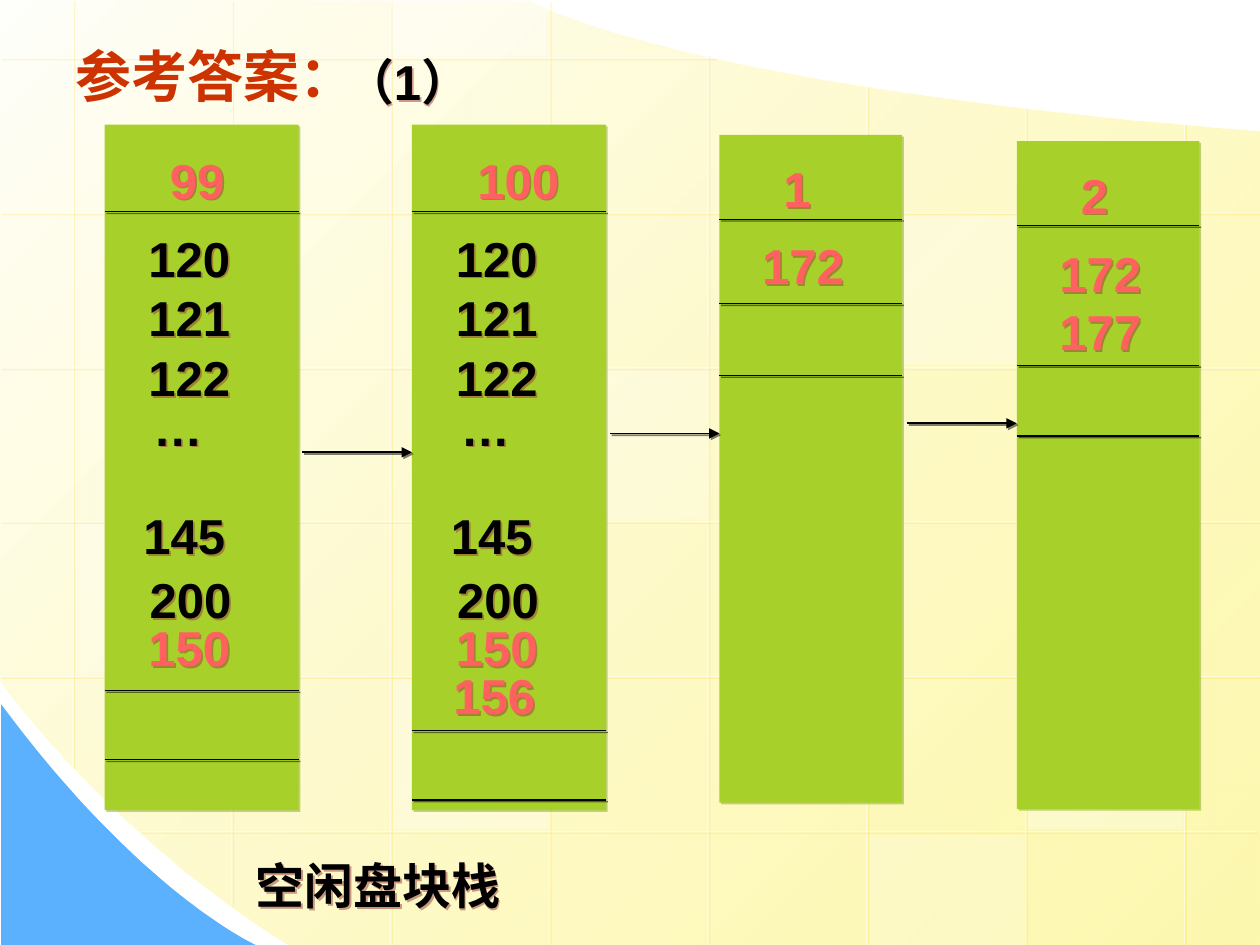
from dataclasses import dataclass

from lxml.etree import SubElement
from pptx import Presentation
from pptx.dml.color import RGBColor
from pptx.enum.shapes import MSO_CONNECTOR, MSO_SHAPE
from pptx.enum.text import MSO_ANCHOR
from pptx.oxml.ns import qn
from pptx.util import Pt

PX = 9144  # EMU per px, 100 px to the inch

WHITE = RGBColor(0xFF, 0xFF, 0xFF)
BLACK = RGBColor(0x00, 0x00, 0x00)
CREAM = RGBColor(0xFF, 0xFF, 0xFB)
YELLOW = RGBColor(0xFD, 0xF5, 0x8D)
GOLD = RGBColor(0xFF, 0xCC, 0x00)
BLUE = RGBColor(0x5C, 0xB1, 0xFE)
GREEN = RGBColor(0xA8, 0xD0, 0x2A)
OLIVE = RGBColor(0x87, 0xA7, 0x22)
RED = RGBColor(0xCC, 0x33, 0x00)
CORAL = RGBColor(0xFF, 0x61, 0x61)
BROWN = RGBColor(0x99, 0x3A, 0x3A)

Point = tuple[int, int]


@dataclass
class Cell:
    text: str
    x: int
    y: int
    color: RGBColor = BLACK


@dataclass
class Stack:
    left: int
    top: int
    width: int
    height: int
    rules: tuple[int, ...]
    cells: tuple[Cell, ...]


def fade(shape, share: int) -> None:
    """Set the opacity of the last colour of a shape, in percent."""
    color = list(shape._element.spPr.iter(qn("a:srgbClr")))[-1]
    SubElement(color, qn("a:alpha"), val=str(share * 1000))


def shade(shape, color: RGBColor | None = None, share: int = 50) -> None:
    """Give a shape a small shadow, or none without a colour."""
    effect = SubElement(shape._element.spPr, qn("a:effectLst"))
    if color is not None:
        outer = SubElement(effect, qn("a:outerShdw"), dist="17961",
                           dir="2700000", algn="ctr", rotWithShape="0")
        SubElement(outer, qn("a:srgbClr"), val=str(color))
        fade(shape, share)


def box(slide, x: int, y: int, w: int, h: int, color: RGBColor):
    shape = slide.shapes.add_shape(
        MSO_SHAPE.RECTANGLE, x * PX, y * PX, w * PX, h * PX)
    shape.fill.solid()
    shape.fill.fore_color.rgb = color
    shape.line.fill.background()
    return shape


def line(slide, start: Point, end: Point, color: RGBColor, width: float = 0.75):
    link = slide.shapes.add_connector(
        MSO_CONNECTOR.STRAIGHT, *(n * PX for n in start + end))
    link.line.color.rgb = color
    link.line.width = Pt(width)
    return link


def label(slide, text: str, x: int, y: int, w: int, h: int,
          color: RGBColor, size: int = 28):
    shape = slide.shapes.add_textbox(x * PX, y * PX, w * PX, h * PX)
    frame = shape.text_frame
    frame.word_wrap = True
    frame.vertical_anchor = MSO_ANCHOR.MIDDLE
    frame.text = text
    font = frame.paragraphs[0].runs[0].font
    font.name, font.size, font.bold = "Arial", Pt(size), True
    font.color.rgb = color
    return shape


def curve(a: Point, b: Point, c: Point, d: Point, steps: int = 40) -> list[Point]:
    """Points along a cubic curve from a to d."""
    ts = [i / steps for i in range(1, steps + 1)]
    return [tuple(round((1 - t) ** 3 * p + 3 * t * (1 - t) ** 2 * q
                        + 3 * t * t * (1 - t) * r + t ** 3 * s)
                  for p, q, r, s in zip(a, b, c, d)) for t in ts]


def patch(slide, start: Point, points: list[Point]):
    # Tenths of a px keep the curves smooth
    pen = slide.shapes.build_freeform(*start, scale=PX / 10)
    pen.add_line_segments(points, close=True)
    shape = pen.convert_to_shape()
    shape.line.fill.background()
    shade(shape)
    return shape


def draw_back(slide) -> None:
    # Yellow field and blue corner
    field = patch(slide, (10000, 1040), [
        (10000, 7500), (2300, 7500),
        *curve((2300, 7500), (860, 6610), (-10, 5390), (0, 5390)),
        (-10, -10), (4210, 10),
        *curve((4210, 10), (4210, 10), (5370, 690), (10000, 1040))])
    field.fill.gradient()
    field.fill.gradient_angle = 315
    for stop, color in zip(field.fill.gradient_stops, (CREAM, YELLOW)):
        stop.color.rgb = color
    fade(field, 70)
    corner = patch(slide, (10, 5590), [
        (10, 7500), (2030, 7500),
        *curve((2030, 7500), (2030, 7500), (1120, 7090), (10, 5590))])
    corner.fill.solid()
    corner.fill.fore_color.rgb = BLUE

    # Grid lines
    spans = ((0, 609), (0, 719), (0, 750), (0, 752),
             (43, 752), (68, 752), (85, 752), (98, 752))
    grid = [((58 + 126 * i, top), (58 + 126 * i, end))
            for i, (top, end) in enumerate(spans)]
    sides = ((568, 0), (1001, 0), (1001, 0), (1001, 0), (1001, 0), (997, 111))
    grid += [((right, 46 + round(122.8 * i)), (left, 46 + round(122.8 * i)))
             for i, (right, left) in enumerate(sides)]
    for start, end in grid:
        ray = line(slide, start, end, WHITE)
        fade(ray, 50)
        shade(ray, GOLD, 34)

    # Pale tiles
    for x, y, h, share in ((438, 294, 118, 25), (816, 540, 118, 30),
                           (60, 416, 118, 20), (690, 663, 87, 20),
                           (311, 0, 44, 40), (312, 540, 118, 30),
                           (689, 171, 118, 30)):
        tile = box(slide, x, y, 123, h, WHITE)
        fade(tile, share)
        shade(tile)


def draw_stack(slide, stack: Stack) -> None:
    shade(box(slide, stack.left, stack.top, stack.width, stack.height, GREEN), OLIVE)
    for rule in stack.rules:
        y = stack.top + rule
        shade(line(slide, (stack.left, y), (stack.left + stack.width, y), BLACK), BLACK)
    for cell in stack.cells:
        shade(label(slide, cell.text, stack.left + cell.x, stack.top + cell.y,
                    110, 57, cell.color), BROWN)


def draw_arrow(slide, x: int, y: int) -> None:
    arrow = line(slide, (x, y), (x + 87, y), BLACK, 1)
    SubElement(arrow.line._get_or_add_ln(), qn("a:tailEnd"), type="triangle")
    shade(arrow, BLACK)


SHARED = (Cell("120", 25, 77), Cell("121", 25, 124), Cell("122", 25, 172),
          Cell("…", 29, 211), Cell("145", 21, 297), Cell("200", 26, 348),
          Cell("150", 25, 386, CORAL))
STACKS = (
    Stack(83, 99, 154, 544, (69, 449, 504),
          (Cell("99", 42, 15, CORAL), *SHARED)),
    Stack(327, 99, 154, 544, (69, 481, 536),
          (Cell("100", 42, 15, CORAL), *SHARED, Cell("156", 23, 424, CORAL))),
    Stack(571, 107, 145, 530, (67, 134, 191),
          (Cell("1", 41, 14, CORAL), Cell("172", 24, 75, CORAL))),
    Stack(807, 112, 145, 530, (67, 178, 234),
          (Cell("2", 41, 14, CORAL), Cell("172", 24, 76, CORAL),
           Cell("177", 24, 122, CORAL))),
)


def main() -> None:
    deck = Presentation()
    deck.slide_width, deck.slide_height = 1000 * PX, 750 * PX
    slide = deck.slides.add_slide(deck.slide_layouts[6])
    draw_back(slide)

    # Title and captions
    label(slide, "参考答案：", 50, 28, 900, 64, RED, 32)
    shade(label(slide, "（1）", 264, 36, 159, 57, BLACK), BROWN)
    shade(label(slide, "空闲盘块栈", 193, 674, 386, 57, BLACK), BROWN)

    # Stacks and the arrows between them
    for stack in STACKS:
        draw_stack(slide, stack)
    for x, y in ((240, 359), (484, 344), (720, 336)):
        draw_arrow(slide, x, y)
    deck.save("out.pptx")


if __name__ == "__main__":
    main()
